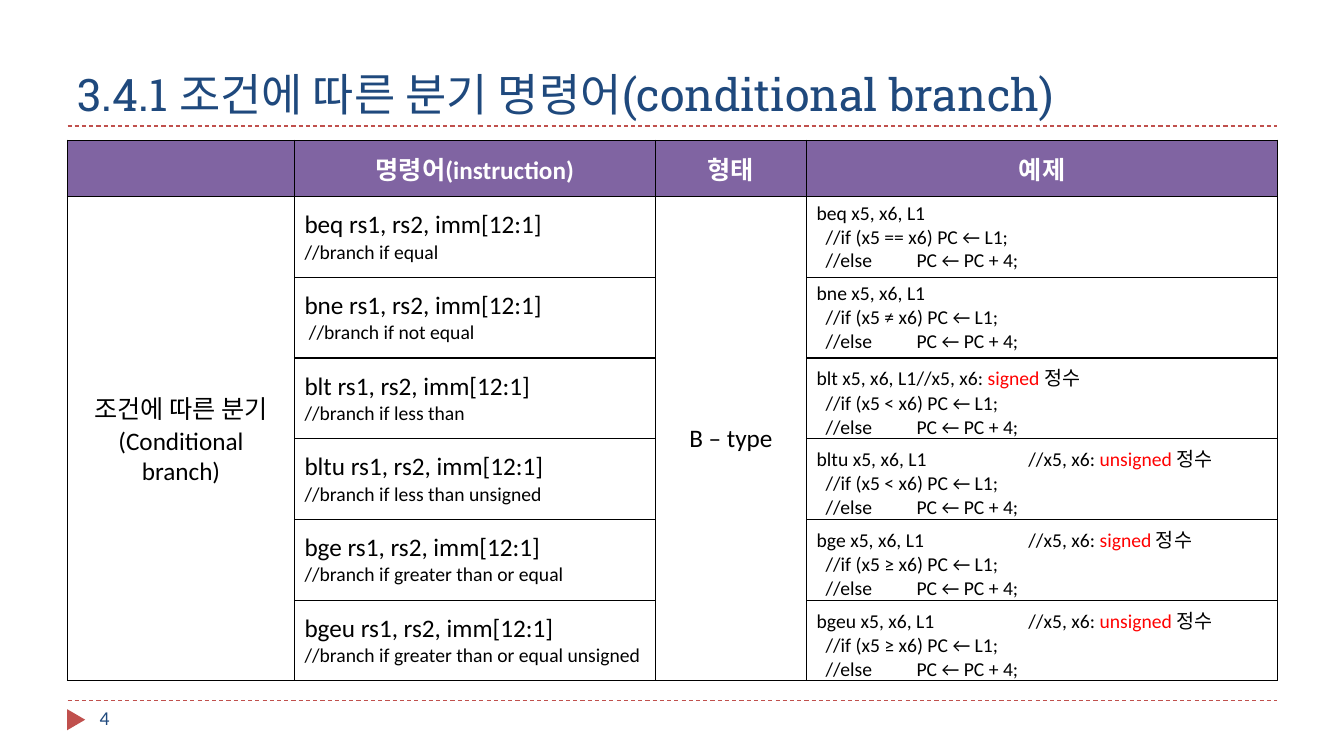
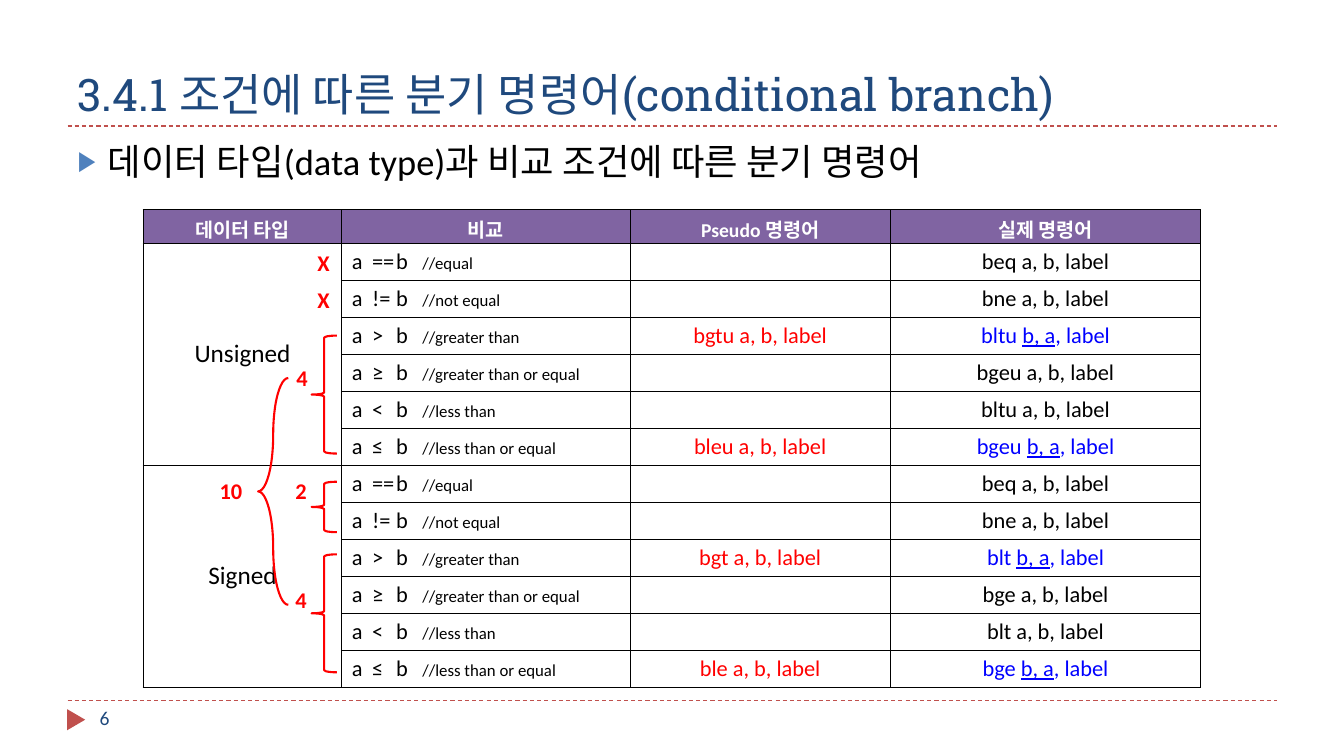
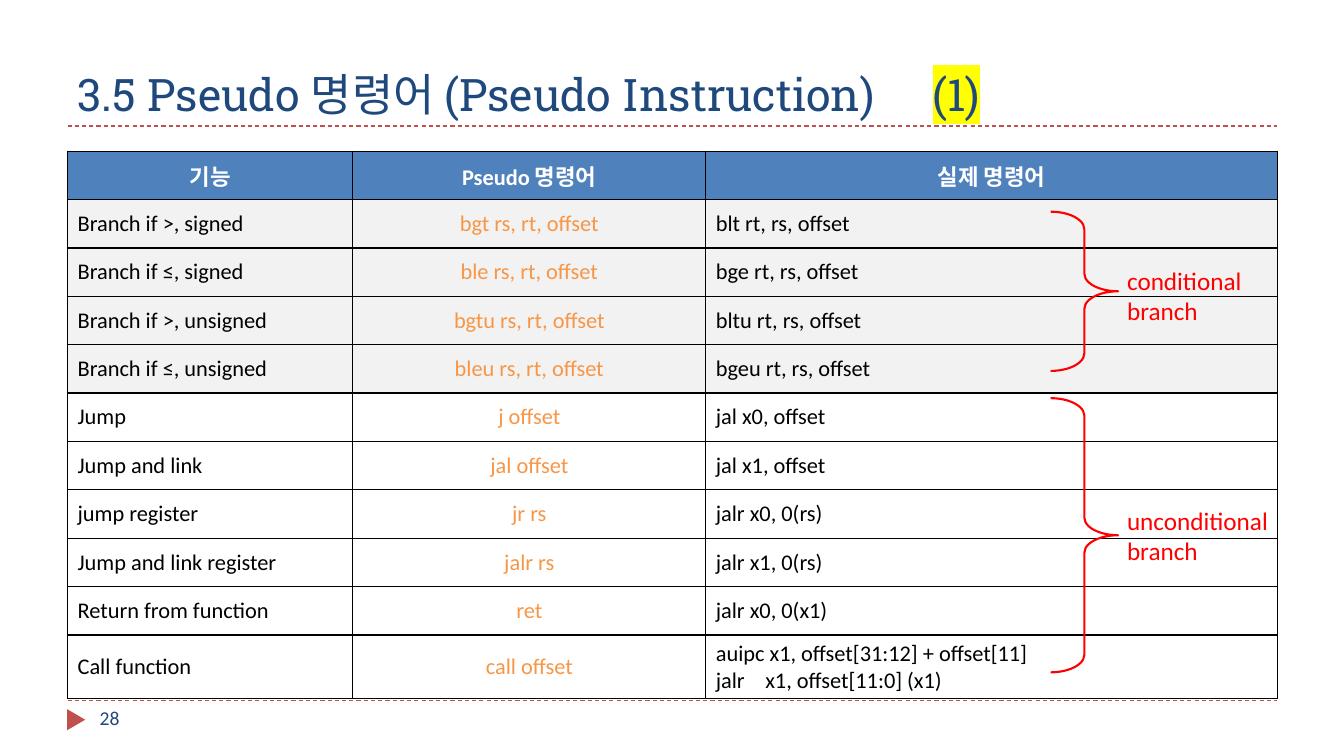
from lxml import etree
from pptx import Presentation
from pptx.dml.color import RGBColor
from pptx.enum.dml import MSO_LINE
from pptx.enum.shapes import MSO_CONNECTOR, MSO_SHAPE
from pptx.enum.text import MSO_ANCHOR, MSO_AUTO_SIZE, PP_ALIGN
from pptx.oxml.ns import qn
from pptx.util import Inches, Pt

BLACK = RGBColor(0x00, 0x00, 0x00)
WHITE = RGBColor(0xFF, 0xFF, 0xFF)
NAVY = RGBColor(0x1F, 0x49, 0x7D)
BRICK = RGBColor(0xC0, 0x50, 0x4D)
PURPLE = RGBColor(0x80, 0x64, 0xA2)
SKY = RGBColor(0x4F, 0x81, 0xBD)
RED = RGBColor(0xFF, 0x00, 0x00)
BLUE = RGBColor(0x00, 0x00, 0xFF)
ORANGE = RGBColor(0xF7, 0x96, 0x46)
PALE = RGBColor(0xF2, 0xF2, 0xF2)
YELLOW = RGBColor(0xFF, 0xFF, 0x00)

TITLE = {"name": "Roboto Slab", "size": Pt(32), "color": NAVY}
NUMBER = {"size": Pt(14), "color": NAVY}
BODY = {"size": Pt(26), "color": BLACK}
LARGE = {"size": Pt(18), "color": BLACK}
MEDIUM = {"size": Pt(16), "color": BLACK}
SMALL = {"size": Pt(14), "color": BLACK}
TINY = {"size": Pt(12), "color": BLACK}
MARK = {"size": Pt(16), "color": RED, "bold": True}
LABEL = {"size": Pt(18), "color": RED}


def write(frame, lines, align=PP_ALIGN.LEFT, tabs=()):
    for index, runs in enumerate(lines):
        paragraph = frame.add_paragraph() if index else frame.paragraphs[0]
        paragraph.alignment = align
        if tabs:
            tab_list = etree.SubElement(paragraph._p.get_or_add_pPr(), qn("a:tabLst"))
            for position in tabs:
                etree.SubElement(tab_list, qn("a:tab"), pos=str(Inches(position)), algn="l")
        for text, style in runs:
            run = paragraph.add_run()
            run.text = text
            for key, value in {"name": "Calibri", "bold": False, **style}.items():
                if key == "color":
                    run.font.color.rgb = value
                else:
                    setattr(run.font, key, value)


def add_grid(slide, left, top, widths, heights, headers, header_size, header_fill):
    table = slide.shapes.add_table(
        len(heights), len(widths), Inches(left), Inches(top),
        Inches(sum(widths)), Inches(sum(heights))).table
    table.horz_banding = False
    for column, width in zip(table.columns, widths):
        column.width = Inches(width)
    for row, height in zip(table.rows, heights):
        row.height = Inches(height)
    for cell in table.iter_cells():
        properties = cell._tc.get_or_add_tcPr()
        for side in ("a:lnL", "a:lnR", "a:lnT", "a:lnB"):
            border = etree.SubElement(properties, qn(side), w=str(Pt(1)))
            fill = etree.SubElement(border, qn("a:solidFill"))
            etree.SubElement(fill, qn("a:srgbClr"), val=str(BLACK))
        cell.fill.background()
        cell.vertical_anchor = MSO_ANCHOR.MIDDLE
    for column, text in enumerate(headers):
        cell = table.cell(0, column)
        cell.fill.solid()
        cell.fill.fore_color.rgb = header_fill
        style = {"size": Pt(header_size), "color": WHITE, "bold": True}
        if text:
            write(cell.text_frame, [[(text, style)]], PP_ALIGN.CENTER)
    return table


presentation = Presentation()
presentation.slide_width = Inches(13.33)
presentation.slide_height = Inches(7.5)

BRANCH_TITLE = [("3.4.1 조건에 따른 분기 명령어(conditional branch)", TITLE)]
PSEUDO_TITLE = [("3.5 Pseudo 명령어 (Pseudo Instruction)\t", TITLE), ("(1)", TITLE)]
TITLE_ONLY, TITLE_CONTENT = 5, 1
slides = []
for layout, title_runs, number in (
    (TITLE_ONLY, BRANCH_TITLE, "4"),
    (TITLE_CONTENT, BRANCH_TITLE, "6"),
    (TITLE_ONLY, PSEUDO_TITLE, "28"),
):
    slide = presentation.slides.add_slide(presentation.slide_layouts[layout])
    slides.append(slide)
    for height in (6.95, 1.25):
        rule = slide.shapes.add_connector(
            MSO_CONNECTOR.STRAIGHT, Inches(0.67), Inches(height), Inches(12.67), Inches(height))
        rule.line.color.rgb = BRICK
        rule.line.width = Pt(0.75)
        rule.line.dash_style = MSO_LINE.DASH
        etree.SubElement(rule._element.spPr, qn("a:effectLst"))
    marker = slide.shapes.add_shape(
        MSO_SHAPE.ISOSCELES_TRIANGLE, Inches(0.65), Inches(7.05), Inches(0.21), Inches(0.18))
    marker.rotation = 90
    marker.shadow.inherit = False
    marker.fill.solid()
    marker.fill.fore_color.rgb = BRICK
    marker.line.fill.background()
    title = slide.shapes.title
    title.left, title.top, title.width, title.height = map(Inches, (0.67, 0.17, 12, 1.08))
    title.text_frame.vertical_anchor = MSO_ANCHOR.BOTTOM
    title.text_frame.auto_size = MSO_AUTO_SIZE.NONE
    write(title.text_frame, [title_runs], tabs=(8.48,) if title_runs is PSEUDO_TITLE else ())
    number_box = slide.shapes.add_textbox(Inches(0.89), Inches(6.95), Inches(2.89), Inches(0.4))
    number_box.text_frame.word_wrap = True
    write(number_box.text_frame, [[(number, NUMBER)]])
branch_slide, compare_slide, pseudo_slide = slides

branch_table = add_grid(
    branch_slide, 0.67, 1.39, [2.25, 3.58, 1.5, 4.67], [0.56] + [0.79] * 6,
    ["", "명령어(instruction)", "형태", "예제"], 18, PURPLE)
for column, lines in (
    (0, ["조건에 따른 분기", "(Conditional", "branch)"]),
    (2, ["B – type"]),
):
    cell = branch_table.cell(1, column)
    cell.merge(branch_table.cell(6, column))
    write(cell.text_frame, [[(line, LARGE)] for line in lines], PP_ALIGN.CENTER)
for row, (name, meaning, operator, sign) in enumerate((
    ("beq", "//branch if equal", "==", ""),
    ("bne", " //branch if not equal", "≠", ""),
    ("blt", "//branch if less than", "<", "signed "),
    ("bltu", "//branch if less than unsigned", "<", "unsigned "),
    ("bge", "//branch if greater than or equal", "≥", "signed "),
    ("bgeu", "//branch if greater than or equal unsigned", "≥", "unsigned "),
), 1):
    write(branch_table.cell(row, 1).text_frame,
          [[(f"{name} rs1, rs2, imm[12:1]", LARGE)], [(meaning, SMALL)]])
    first_line = [(f"{name} x5, x6, L1", SMALL)]
    if sign:
        first_line += [("\t//x5, x6: ", SMALL), (sign, {**SMALL, "color": RED}), ("정수", SMALL)]
    example = branch_table.cell(row, 3)
    example.vertical_anchor = MSO_ANCHOR.TOP
    write(example.text_frame,
          [first_line,
           [(f"  //if (x5 {operator} x6) PC ← L1;", SMALL)],
           [("  //else\tPC ← PC + 4;", SMALL)]],
          tabs=(0.99, 2.1))

body = compare_slide.placeholders[1]
body.left, body.top, body.width, body.height = map(Inches, (0.67, 1.33, 12, 5.4))
paragraph = body.text_frame.paragraphs[0]
paragraph.space_before = Pt(0)
properties = paragraph._p.get_or_add_pPr()
properties.set("marL", str(Inches(0.3)))
properties.set("indent", str(-Inches(0.3)))
bullet_color = etree.SubElement(properties, qn("a:buClr"))
etree.SubElement(bullet_color, qn("a:srgbClr"), val=str(SKY))
etree.SubElement(properties, qn("a:buSzPct"), val="76000")
etree.SubElement(properties, qn("a:buChar"), char="▶")
write(body.text_frame, [[("데이터 타입(data type)과 비교 조건에 따른 분기 명령어", BODY)]])

compare_table = add_grid(
    compare_slide, 1.42, 2.08, [1.97, 2.86, 2.58, 3.08], [0.33] * 13,
    ["데이터 타입", "비교", "Pseudo 명령어", "실제 명령어"], 14, PURPLE)
comparisons = (
    ("==", "equal", "", "beq"),
    ("!=", "not equal", "", "bne"),
    (">", "greater than", "bgt", "blt"),
    ("≥", "greater than or equal", "", "bge"),
    ("<", "less than", "", "blt"),
    ("≤", "less than or equal", "ble", "bge"),
)
SWAPPED = {**MEDIUM, "color": BLUE}
for first_row, data_type, suffix in ((1, "Unsigned", "u"), (7, "Signed", "")):
    type_cell = compare_table.cell(first_row, 0)
    type_cell.merge(compare_table.cell(first_row + 5, 0))
    write(type_cell.text_frame, [[(data_type, LARGE)]], PP_ALIGN.CENTER)
    for row, (operator, meaning, pseudo, actual) in enumerate(comparisons, first_row):
        write(compare_table.cell(row, 1).text_frame,
              [[(f"a\t{operator}\tb\t", MEDIUM), (f"//{meaning}", TINY)]],
              tabs=(0.2, 0.44, 0.7))
        ending = "" if operator in ("==", "!=") else suffix
        pseudo_cell = compare_table.cell(row, 2)
        if pseudo:
            write(pseudo_cell.text_frame,
                  [[(f"{pseudo}{ending} a, b, label", {**MEDIUM, "color": RED})]],
                  PP_ALIGN.CENTER)
            actual_runs = [(f"{actual}{ending} ", SWAPPED),
                           ("b, a", {**SWAPPED, "underline": True}), (", label", SWAPPED)]
        else:
            pseudo_cell.margin_top = pseudo_cell.margin_bottom = 0
            actual_runs = [(f"{actual}{ending} a, b, label", MEDIUM)]
        write(compare_table.cell(row, 3).text_frame, [actual_runs], PP_ALIGN.CENTER)

pseudo_title_run = pseudo_slide.shapes.title.text_frame.paragraphs[0].runs[1]
highlight = etree.Element(qn("a:highlight"))
etree.SubElement(highlight, qn("a:srgbClr"), val=str(YELLOW))
pseudo_title_run._r.rPr.find(qn("a:latin")).addprevious(highlight)

pseudo_table = add_grid(
    pseudo_slide, 0.67, 1.5, [2.83, 3.5, 5.67], [0.48] * 11,
    ["기능", "Pseudo 명령어", "실제 명령어"], 16, SKY)
for row, (function, pseudo, actual) in enumerate((
    ("Branch if >, signed", "bgt rs, rt, offset", ["blt rt, rs, offset"]),
    ("Branch if ≤, signed", "ble rs, rt, offset", ["bge rt, rs, offset"]),
    ("Branch if >, unsigned", "bgtu rs, rt, offset", ["bltu rt, rs, offset"]),
    ("Branch if ≤, unsigned", "bleu rs, rt, offset", ["bgeu rt, rs, offset"]),
    ("Jump", "j offset", ["jal x0, offset"]),
    ("Jump and link", "jal offset", ["jal x1, offset"]),
    ("jump register", "jr rs", ["jalr x0, 0(rs)"]),
    ("Jump and link register", "jalr rs", ["jalr x1, 0(rs)"]),
    ("Return from function", "ret", ["jalr x0, 0(x1)"]),
    ("Call function", "call offset",
     ["auipc x1, offset[31:12] + offset[11]", "jalr\tx1, offset[11:0] (x1)"]),
), 1):
    cells = [pseudo_table.cell(row, column) for column in range(3)]
    write(cells[0].text_frame, [[(function, MEDIUM)]])
    write(cells[1].text_frame, [[(pseudo, {**MEDIUM, "color": ORANGE})]], PP_ALIGN.CENTER)
    write(cells[2].text_frame, [[(line, MEDIUM)] for line in actual],
          tabs=(0.49,) if len(actual) > 1 else ())
    if function.startswith("Branch"):
        for cell in cells:
            cell.fill.solid()
            cell.fill.fore_color.rgb = PALE

for slide, kind, left, top, width, height, adjustments in (
    (compare_slide, MSO_SHAPE.LEFT_BRACE, 3.09, 3.33, 0.25, 1.17, ()),
    (compare_slide, MSO_SHAPE.LEFT_BRACE, 3.09, 5.5, 0.25, 1.17, ()),
    (compare_slide, MSO_SHAPE.LEFT_BRACE, 3.09, 4.78, 0.25, 0.5, ()),
    (compare_slide, MSO_SHAPE.LEFT_BRACE, 2.56, 3.75, 0.3, 2.25, (1.86, 0.5)),
    (pseudo_slide, MSO_SHAPE.RIGHT_BRACE, 10.42, 2.1, 0.67, 1.58, (0.26, 0.5)),
    (pseudo_slide, MSO_SHAPE.RIGHT_BRACE, 10.42, 3.95, 0.67, 2.72, (0.26, 0.5)),
):
    brace = slide.shapes.add_shape(kind, Inches(left), Inches(top), Inches(width), Inches(height))
    brace.shadow.inherit = False
    brace.fill.background()
    brace.line.color.rgb = RED
    brace.line.width = Pt(1.5)
    for index, value in enumerate(adjustments):
        brace.adjustments[index] = value

for slide, text, left, top, width, height, style in (
    (compare_slide, "X", 3.05, 2.42, 0.37, 0.37, MARK),
    (compare_slide, "X", 3.05, 2.79, 0.37, 0.37, MARK),
    (compare_slide, "4", 2.84, 3.56, 0.31, 0.37, MARK),
    (compare_slide, "2", 2.83, 4.68, 0.31, 0.37, MARK),
    (compare_slide, "4", 2.83, 5.77, 0.31, 0.37, MARK),
    (compare_slide, "10", 2.08, 4.68, 0.48, 0.37, MARK),
    (pseudo_slide, "conditional branch", 11.08, 2.58, 1.42, 0.71, LABEL),
    (pseudo_slide, "unconditional branch", 11.08, 4.96, 1.67, 0.71, LABEL),
):
    box = slide.shapes.add_textbox(Inches(left), Inches(top), Inches(width), Inches(height))
    box.text_frame.word_wrap = True
    box.text_frame.auto_size = MSO_AUTO_SIZE.SHAPE_TO_FIT_TEXT
    write(box.text_frame, [[(text, style)]])

presentation.save("out.pptx")
